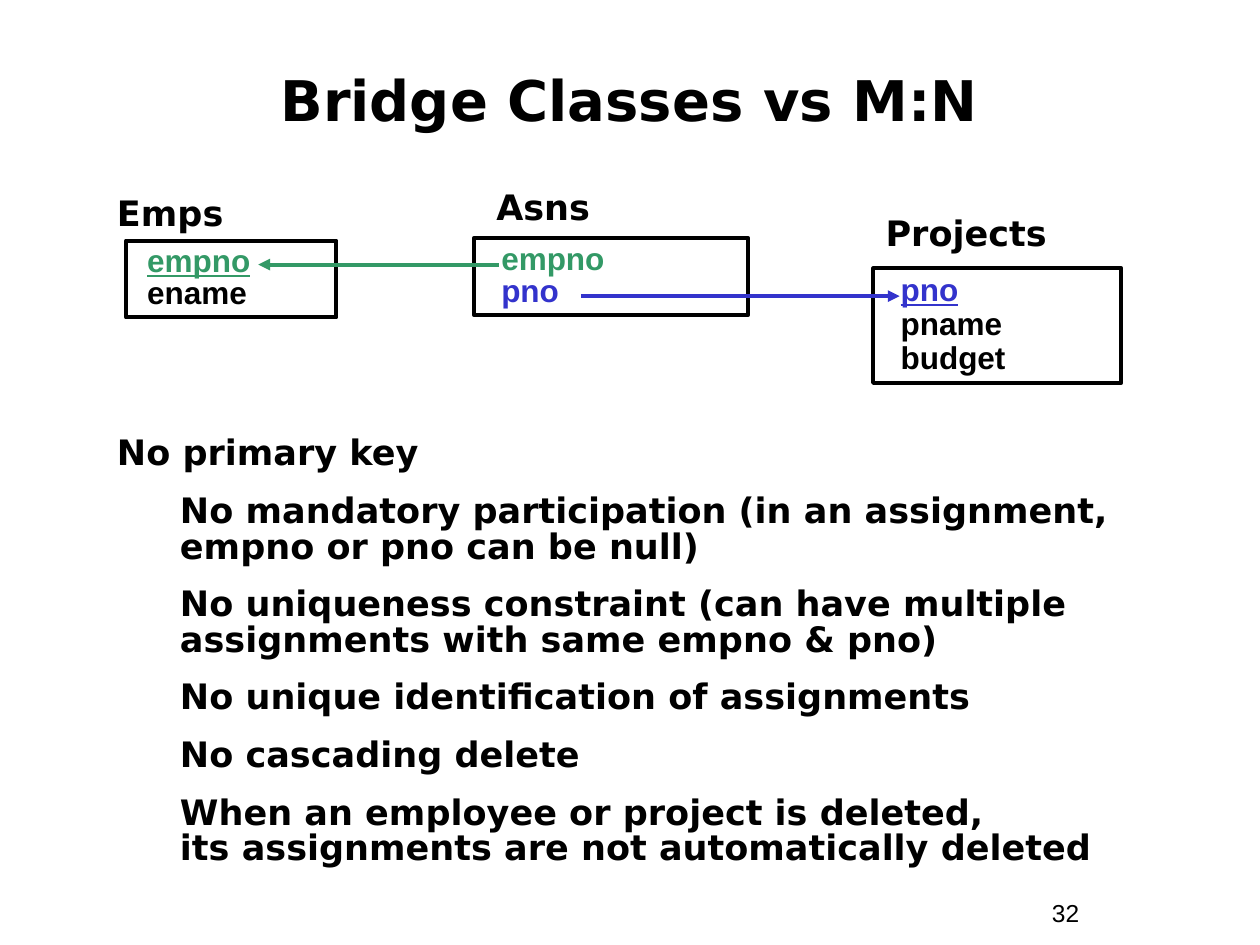
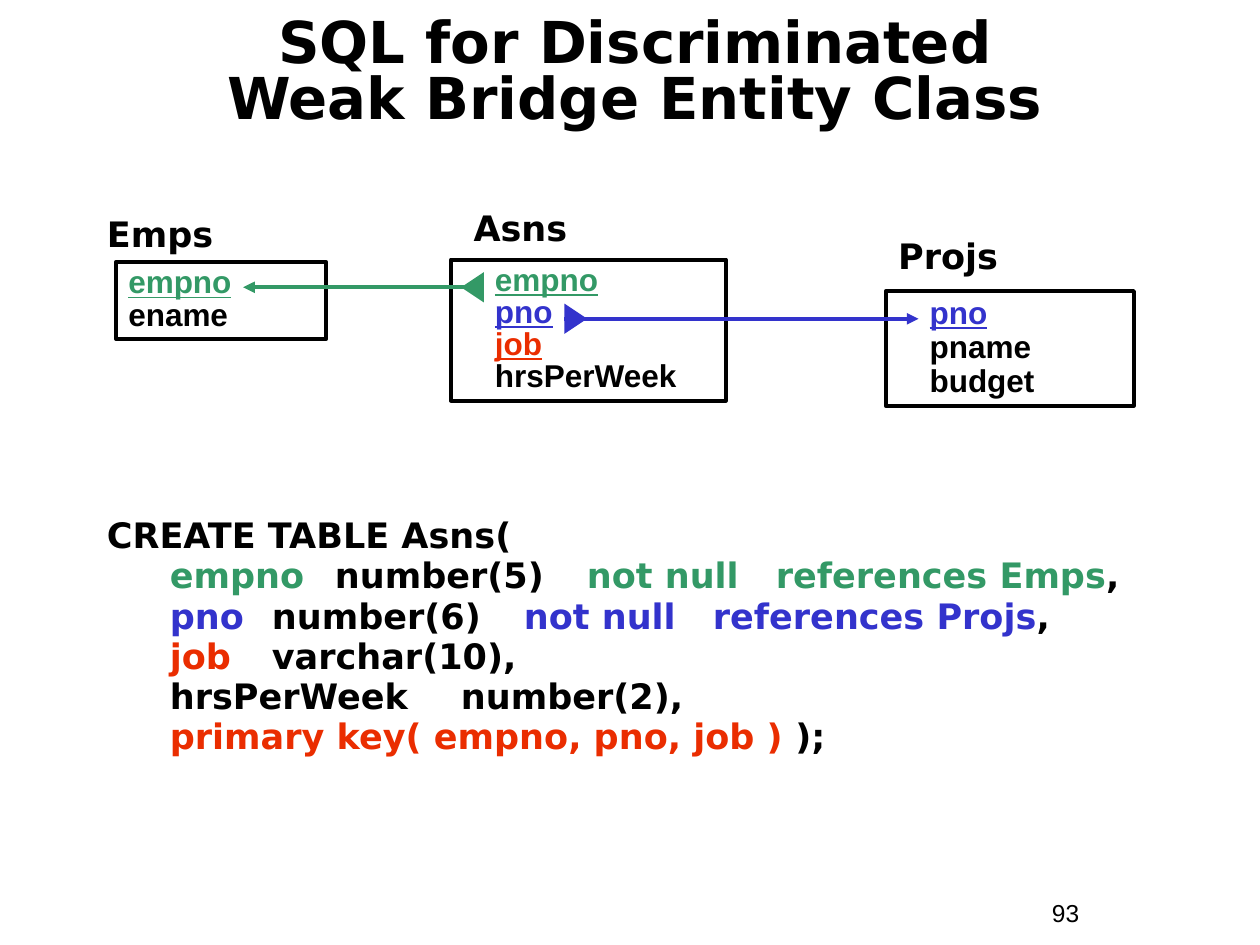
from dataclasses import dataclass

from lxml import etree
from pptx import Presentation
from pptx.dml.color import RGBColor
from pptx.enum.shapes import MSO_CONNECTOR, MSO_SHAPE
from pptx.enum.text import MSO_ANCHOR, PP_ALIGN
from pptx.oxml.ns import qn
from pptx.util import Inches, Pt

BLACK = RGBColor(0x00, 0x00, 0x00)
GREEN = RGBColor(0x33, 0x99, 0x66)
BLUE = RGBColor(0x33, 0x33, 0xCC)
RED = RGBColor(0xEA, 0x2D, 0x00)

HEADING_FONT = "DejaVu Sans"
FIELD_FONT = "Arial"
LINE_WIDTH = Pt(2.25)

RECTANGLE = MSO_SHAPE.RECTANGLE
TRIANGLE = MSO_SHAPE.ISOSCELES_TRIANGLE
STRAIGHT = MSO_CONNECTOR.STRAIGHT
LEFT, CENTER = PP_ALIGN.LEFT, PP_ALIGN.CENTER
TOP, MIDDLE = MSO_ANCHOR.TOP, MSO_ANCHOR.MIDDLE


@dataclass
class Span:
    """A stretch of text in one style."""
    text: str
    color: RGBColor = BLACK
    underline: bool = False


@dataclass
class Style:
    """Font and paragraph settings of a text block."""
    font: str = HEADING_FONT
    size: float = 20
    bold: bool = True
    align: PP_ALIGN = LEFT
    anchor: MSO_ANCHOR = TOP
    spacing: float = 1.0
    before: float = 0


@dataclass
class Row:
    """A paragraph with its indents and tab stops in inches."""
    spans: list
    indent: float = 0
    hanging: float = 0
    tabs: tuple = ()


@dataclass
class Entity:
    """The look of one class box and the offset of its label."""
    width: float
    label_shift: tuple
    label_width: float
    spacing: float = 0.85


EMPS = Entity(1.67, (-0.17, -0.44), 2.15)
ASNS = Entity(2.18, (0.08, -0.47), 2.51)
PROJECTS = Entity(1.97, (0, -0.5), 2.15, 0.9)

EMPS_FIELDS = [Span("empno", GREEN, True), Span("ename")]
PROJECTS_FIELDS = [Span("pno", BLUE, True), Span("pname"), Span("budget")]


def add_span(para, span, style):
    """Add a span run by run, breaking lines at newlines."""
    for number, line in enumerate(span.text.split("\n")):
        if number:
            para.add_line_break()
        run = para.add_run()
        run.text = line
        run.font.name = style.font
        run.font.size = Pt(style.size)
        run.font.bold = style.bold
        run.font.underline = span.underline
        run.font.color.rgb = span.color


def set_indents(para, row):
    """Write the indents and tab stops of a row."""
    props = para._p.get_or_add_pPr()
    props.set("marL", str(Inches(row.indent)))
    props.set("indent", str(-Inches(row.hanging)))
    if row.tabs:
        stops = etree.SubElement(props, qn("a:tabLst"))
        for stop in row.tabs:
            etree.SubElement(stops, qn("a:tab"), pos=str(Inches(stop)), algn="l")


def fill_text(frame, rows, style):
    """Write rows into a text frame."""
    frame.word_wrap = True
    frame.vertical_anchor = style.anchor
    for number, row in enumerate(rows):
        para = frame.add_paragraph() if number else frame.paragraphs[0]
        set_indents(para, row)
        para.alignment = style.align
        para.line_spacing = style.spacing
        if number:
            para.space_before = Pt(style.before)
        for span in row.spans:
            add_span(para, span, style)


def add_text(page, box, rows, style):
    """Place a text box given as left, top, width, height."""
    shape = page.shapes.add_textbox(*map(Inches, box))
    fill_text(shape.text_frame, rows, style)


def add_page(deck, title, title_box, title_style, number):
    """Start a slide with its title and page number."""
    page = deck.slides.add_slide(deck.slide_layouts[6])
    add_text(page, title_box, [Row([Span(title)])], title_style)
    add_text(page, (8.25, 7.08, 0.92, 0.34), [Row([Span(number)])],
             Style(FIELD_FONT, 14, False))
    return page


def add_entity(page, entity, left, top, name, fields, indent):
    """Draw a class box listing its fields, with its name above."""
    shift_x, shift_y = entity.label_shift
    add_text(page, (left + shift_x, top + shift_y, entity.label_width, 0.44),
             [Row([Span(name)])], Style())
    height = 0.1 + 0.3 * entity.spacing * len(fields)
    frame = page.shapes.add_shape(
        RECTANGLE, *map(Inches, (left, top, entity.width, height)))
    frame.shadow.inherit = False
    frame.fill.background()
    frame.line.color.rgb = BLACK
    frame.line.width = LINE_WIDTH
    fill_text(frame.text_frame, [Row([field], indent) for field in fields],
              Style(FIELD_FONT, 18, spacing=entity.spacing))


def add_reference(page, start, end, y, color):
    """Draw a level arrow from a foreign key to the key it refers to."""
    arrow = page.shapes.add_connector(
        STRAIGHT, *map(Inches, (start, y, end, y)))
    arrow.line.color.rgb = color
    arrow.line.width = LINE_WIDTH
    etree.SubElement(arrow.line._get_or_add_ln(), qn("a:tailEnd"), type="triangle")
    etree.SubElement(arrow._element.spPr, qn("a:effectLst"))


def add_weak_mark(page, left, top, rotation, color):
    """Draw the triangle that marks a discriminating reference."""
    mark = page.shapes.add_shape(
        TRIANGLE, *map(Inches, (left, top, 0.24, 0.18)))
    mark.rotation = rotation
    mark.shadow.inherit = False
    mark.fill.solid()
    mark.fill.fore_color.rgb = color
    mark.line.fill.background()


def build_bridge_page(deck):
    """Build the slide on bridge classes and M:N associations."""
    page = add_page(deck, "Bridge Classes vs M:N", (0.33, 0.33, 9.33, 0.92),
                    Style(size=32, align=CENTER, anchor=MIDDLE), "32")
    add_entity(page, ASNS, 3.76, 1.89, "Asns",
               [Span("empno", GREEN), Span("pno", BLUE)], 0.12)
    add_entity(page, PROJECTS, 6.93, 2.13, "Projects", PROJECTS_FIELDS, 0.12)
    add_entity(page, EMPS, 1, 1.91, "Emps", EMPS_FIELDS, 0.07)
    add_reference(page, 3.96, 2.05, 2.1, GREEN)
    add_reference(page, 4.61, 7.14, 2.35, BLUE)
    points = [
        "No mandatory participation (in an assignment, empno or pno can be null)",
        "No uniqueness constraint (can have multiple assignments with same empno & pno)",
        "No unique identification of assignments",
        "No cascading delete",
        "When an employee or project is deleted,\n"
        "its assignments are not automatically deleted",
    ]
    rows = [Row([Span("No primary key")])]
    rows += [Row([Span(point)], 0.5) for point in points]
    add_text(page, (0.83, 3.42, 8.25, 3.52), rows, Style(spacing=0.85, before=12.5))


def reference_column(name, kind, target, color):
    """Return the SQL row of a column that refers to another table."""
    return Row([Span(f"{name}\t", color), Span(f"{kind}\t"),
                Span(f"not null\treferences {target}", color), Span(",")],
               0.81, 0.31, (1, 2.86, 4.25))


def build_sql_page(deck):
    """Build the slide with the SQL of a weak bridge class."""
    page = add_page(deck, "SQL for Discriminated\nWeak Bridge Entity Class",
                    (0.33, 0.26, 9.42, 0.67),
                    Style(size=33, align=CENTER, anchor=MIDDLE, spacing=0.8), "93")
    add_entity(page, ASNS, 3.58, 2.06, "Asns",
               [Span("empno", GREEN, True), Span("pno", BLUE, True),
                Span("job", RED, True), Span("hrsPerWeek")], 0.25)
    add_entity(page, PROJECTS, 7.03, 2.31, "Projs", PROJECTS_FIELDS, 0.25)
    add_entity(page, EMPS, 0.92, 2.08, "Emps", EMPS_FIELDS, 0)
    add_reference(page, 3.83, 1.93, 2.28, GREEN)
    add_reference(page, 4.48, 7.29, 2.53, BLUE)
    add_weak_mark(page, 3.63, 2.19, 270, GREEN)
    add_weak_mark(page, 4.45, 2.44, 90, BLUE)
    rows = [
        Row([Span("CREATE TABLE Asns(")], 0.38, 0.38),
        reference_column("empno", "number(5)", "Emps", GREEN),
        reference_column("pno", "number(6)", "Projs", BLUE),
        Row([Span("job\t", RED), Span("varchar(10),")], 0.81, 0.31, (2,)),
        Row([Span("hrsPerWeek\tnumber(2),")], 0.81, 0.31, (2,)),
        Row([Span("primary key( empno, pno, job )", RED), Span(" );")], 0.81, 0.31),
    ]
    add_text(page, (0.75, 4.08, 8.67, 1.98), rows, Style(spacing=0.85, before=2.5))


def main():
    """Build and save the deck."""
    deck = Presentation()
    deck.slide_width = Inches(10)
    deck.slide_height = Inches(7.5)
    build_bridge_page(deck)
    build_sql_page(deck)
    deck.save("out.pptx")


if __name__ == "__main__":
    main()
